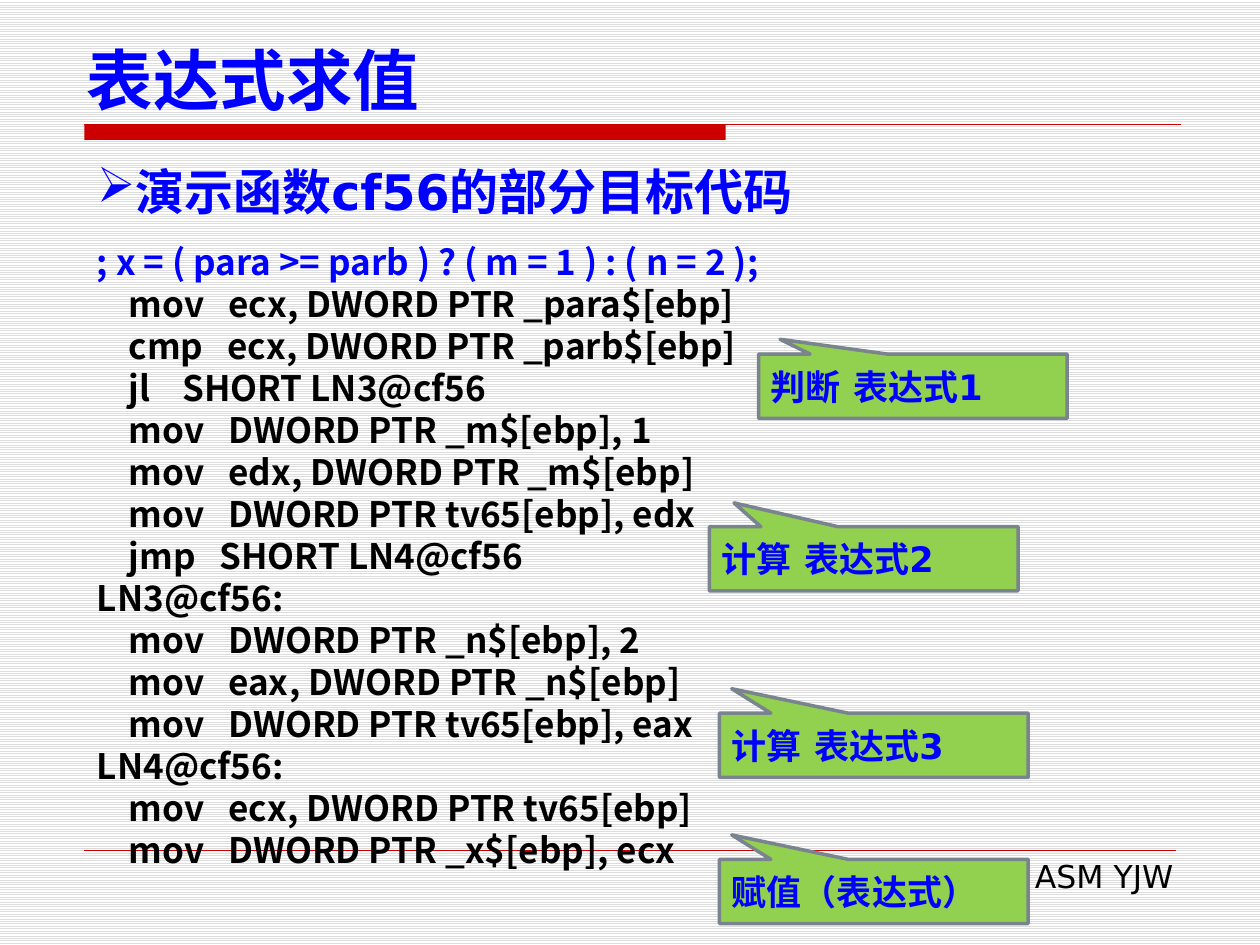
from dataclasses import dataclass

from lxml.etree import SubElement
from pptx import Presentation
from pptx.dml.color import RGBColor
from pptx.enum.dml import MSO_PATTERN
from pptx.enum.shapes import MSO_CONNECTOR, MSO_SHAPE
from pptx.enum.text import MSO_ANCHOR, PP_ALIGN
from pptx.oxml.ns import qn
from pptx.util import Inches, Pt


@dataclass(frozen=True)
class Theme:
    blue: RGBColor = RGBColor(0x00, 0x00, 0xFF)
    black: RGBColor = RGBColor(0x00, 0x00, 0x00)
    red: RGBColor = RGBColor(0xCC, 0x00, 0x00)
    green: RGBColor = RGBColor(0x92, 0xD0, 0x50)
    gray: RGBColor = RGBColor(0x79, 0x84, 0x8F)
    stripe: RGBColor = RGBColor(0xDD, 0xDD, 0xDD)
    white: RGBColor = RGBColor(0xFF, 0xFF, 0xFF)
    font: str = "DejaVu Sans"
    code_font: str = "Noto Sans CJK SC"
    title: int = 38
    heading: int = 28
    body: int = 20
    footer: int = 18
    leading: int = 24


THEME = Theme()

CODE = """; x = ( para >= parb ) ? ( m = 1 ) : ( n = 2 );
    mov   ecx, DWORD PTR _para$[ebp]
    cmp   ecx, DWORD PTR _parb$[ebp]
    jl    SHORT LN3@cf56
    mov   DWORD PTR _m$[ebp], 1
    mov   edx, DWORD PTR _m$[ebp]
    mov   DWORD PTR tv65[ebp], edx
    jmp   SHORT LN4@cf56
LN3@cf56:
    mov   DWORD PTR _n$[ebp], 2
    mov   eax, DWORD PTR _n$[ebp]
    mov   DWORD PTR tv65[ebp], eax
LN4@cf56:
    mov   ecx, DWORD PTR tv65[ebp]
    mov   DWORD PTR _x$[ebp], ecx"""

CALLOUTS = [
    ("判断 表达式1", 6.02, 2.81, (-0.43, -0.73)),
    ("计算 表达式2", 5.63, 4.18, (-0.42, -0.87)),
    ("计算 表达式3", 5.71, 5.66, (-0.46, -0.88)),
    ("赋值（表达式）", 5.71, 6.82, (-0.46, -0.88)),
]


def style(p, size, color=THEME.blue, bold=True, font=THEME.font):
    for r in p.runs:
        r.font.size = Pt(size)
        r.font.bold = bold
        r.font.name = font
        r.font.color.rgb = color
        SubElement(r._r.get_or_add_rPr(), qn("a:ea"), typeface=font)


def add_text(s, box, text):
    tf = s.shapes.add_textbox(*map(Inches, box)).text_frame
    tf.word_wrap = True
    tf.text = text
    return tf


def add_rule(s, x, y, width, weight):
    line = s.shapes.add_connector(
        MSO_CONNECTOR.STRAIGHT, Inches(x), Inches(y), Inches(x + width), Inches(y)
    )
    line.line.color.rgb = THEME.red
    line.line.width = Pt(weight)
    SubElement(line._element.spPr, qn("a:effectLst"))


def add_background(s):
    fill = s.background.fill
    fill.patterned()
    fill.pattern = MSO_PATTERN.LIGHT_HORIZONTAL
    fill.fore_color.rgb = THEME.stripe
    fill.back_color.rgb = THEME.white


def add_title(s, x, y, width, height):
    bar = s.shapes.add_shape(
        MSO_SHAPE.RECTANGLE, Inches(x), Inches(y + height), Inches(5.09), Inches(0.12)
    )
    bar.shadow.inherit = False
    bar.fill.solid()
    bar.fill.fore_color.rgb = THEME.red
    bar.line.fill.background()
    add_rule(s, x, y + height, width, 0.75)
    tf = add_text(s, (x - 0.08, y, width + 0.36, height), "表达式求值")
    tf.vertical_anchor = MSO_ANCHOR.BOTTOM
    style(tf.paragraphs[0], THEME.title)


def add_footer(s, x, y, width, height):
    add_rule(s, x, y, width, 0.25)
    text_width = 5.59
    tf = add_text(s, (x + width + 0.08 - text_width, y, text_width, height), "ASM YJW")
    p = tf.paragraphs[0]
    p.alignment = PP_ALIGN.RIGHT
    style(p, THEME.footer, THEME.black, bold=False)


def add_heading(s, *box):
    p = add_text(s, box, "演示函数cf56的部分目标代码").paragraphs[0]
    p.alignment = PP_ALIGN.JUSTIFY
    SubElement(p._p.get_or_add_pPr(), qn("a:buChar"), char="➢")
    style(p, THEME.heading)


def add_code(s, *box):
    tf = add_text(s, box, CODE)
    for i, p in enumerate(tf.paragraphs):
        p.line_spacing = Pt(THEME.leading)
        color = THEME.black if i else THEME.blue
        style(p, THEME.body, color, font=THEME.code_font)


def add_callout(s, text, tip, *box):
    sp = s.shapes.add_shape(MSO_SHAPE.RECTANGULAR_CALLOUT, *map(Inches, box))
    sp.shadow.inherit = False
    sp.adjustments[0], sp.adjustments[1] = tip
    sp.fill.solid()
    sp.fill.fore_color.rgb = THEME.green
    sp.line.color.rgb = THEME.gray
    sp.line.width = Pt(2)
    tf = sp.text_frame
    tf.vertical_anchor = MSO_ANCHOR.MIDDLE
    tf.text = text
    p = tf.paragraphs[0]
    p.alignment = PP_ALIGN.LEFT
    style(p, THEME.body)


def main():
    prs = Presentation()
    prs.slide_width, prs.slide_height = Inches(10), Inches(7.5)
    s = prs.slides.add_slide(prs.slide_layouts[6])
    add_background(s)
    add_footer(s, 0.67, 6.75, 8.66, 0.4)
    add_title(s, 0.67, 0.28, 8.7, 0.71)
    add_heading(s, 0.67, 1.23, 8.66, 0.57)
    add_code(s, 0.67, 1.86, 9.21, 5.15)
    for text, x, y, tip in CALLOUTS:
        add_callout(s, text, tip, x, y, 2.45, 0.51)
    prs.save("out.pptx")


if __name__ == "__main__":
    main()
